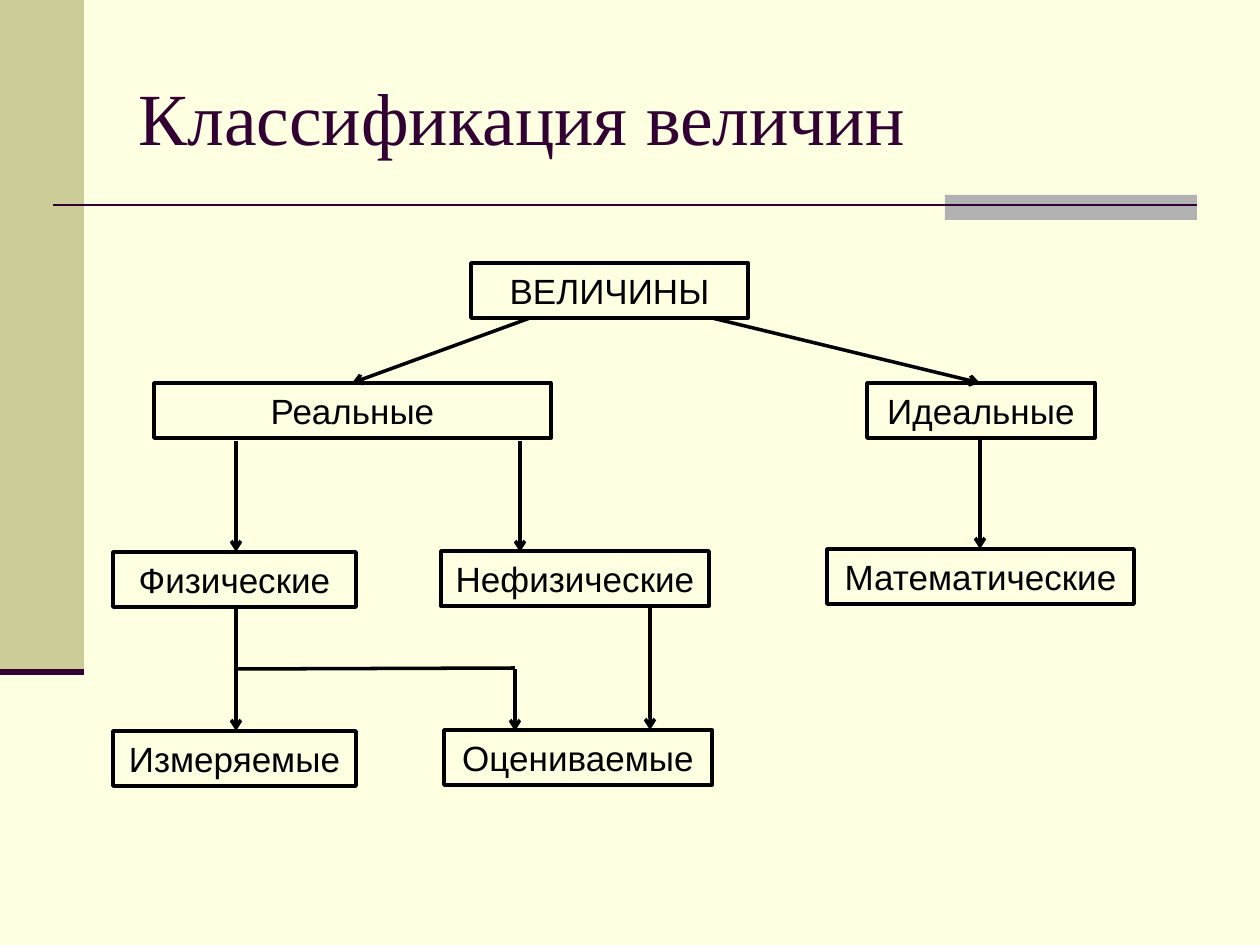
"""Build the slide that classifies quantities as a tree of boxes and arrows."""
import pptx
import pptx.util
import pptx.dml.color
import pptx.enum.shapes
import pptx.enum.text
import pptx.oxml.ns
import lxml.etree

PX = 914400 / 126
BOX_HEIGHT = 55
PLUM, BLACK = "330033", "000000"

TITLE = "Классификация величин"
PANELS = [
    ((0, 0, 84, 672), "CCCC99"),
    ((945, 195, 252, 25), "B2B2B2"),
]
RULES = [
    ((53, 205, 1197, 205), 1.5),
    ((0, 672, 84, 672), 3.5),
]
BOXES = [
    ("ВЕЛИЧИНЫ", 471, 263, 277),
    ("Реальные", 154, 383, 397),
    ("Идеальные", 867, 383, 228),
    ("Физические", 113, 552, 243),
    ("Нефизические", 441, 551, 268),
    ("Математические", 827, 549, 307),
    ("Измеряемые", 113, 731, 243),
    ("Оцениваемые", 444, 730, 268),
]
ARROWS = [
    (530, 318, 352, 383),
    (236, 441, 236, 552),
    (520, 441, 520, 552),
    (236, 607, 236, 731),
    (650, 607, 650, 730),
    (515, 669, 515, 731),
    (712, 318, 980, 383),
    (980, 438, 980, 549),
]
BRANCH = (236, 669, 515, 668)


def emu(*lengths):
    return [pptx.util.Emu(round(n * PX)) for n in lengths]


def rgb(color):
    return pptx.dml.color.RGBColor.from_string(color)


def set_font(p, name, size, color):
    p.font.name = name
    p.font.size = pptx.util.Pt(size)
    p.font.color.rgb = rgb(color)


def add_rect(shapes, place):
    sp = shapes.add_shape(pptx.enum.shapes.MSO_SHAPE.RECTANGLE, *emu(*place))
    sp.shadow.inherit = False
    return sp


def add_panel(shapes, place, color):
    sp = add_rect(shapes, place)
    sp.fill.solid()
    sp.fill.fore_color.rgb = rgb(color)
    sp.line.fill.background()


def add_box(shapes, text, left, top, width):
    sp = add_rect(shapes, (left, top, width, BOX_HEIGHT))
    sp.fill.background()
    sp.line.color.rgb = rgb(BLACK)
    sp.line.width = pptx.util.Pt(2)
    tf = sp.text_frame
    tf.word_wrap = True
    tf.auto_size = pptx.enum.text.MSO_AUTO_SIZE.SHAPE_TO_FIT_TEXT
    tf.vertical_anchor = pptx.enum.text.MSO_ANCHOR.TOP
    p = tf.paragraphs[0]
    p.text = text
    p.alignment = pptx.enum.text.PP_ALIGN.CENTER
    set_font(p, "Arial", 20, BLACK)


def add_line(shapes, ends, color=BLACK, width=2, arrow=False):
    cn = shapes.add_connector(pptx.enum.shapes.MSO_CONNECTOR.STRAIGHT, *emu(*ends))
    cn.line.color.rgb = rgb(color)
    cn.line.width = pptx.util.Pt(width)
    if arrow:
        ln = cn.line.fill._xPr
        lxml.etree.SubElement(ln, pptx.oxml.ns.qn("a:tailEnd"), type="arrow")
    lxml.etree.SubElement(cn._element.spPr, pptx.oxml.ns.qn("a:effectLst"))


def main():
    prs = pptx.Presentation()
    prs.slide_width, prs.slide_height = emu(1260, 945)
    s = prs.slides.add_slide(prs.slide_layouts[5])
    s.background.fill.solid()
    s.background.fill.fore_color.rgb = rgb("FFFFE1")

    for place, color in PANELS:
        add_panel(s.shapes, place, color)
    for ends, width in RULES:
        add_line(s.shapes, ends, PLUM, width)

    title = s.shapes.title
    title.left, title.top, title.width, title.height = emu(126, 38, 1071, 157)
    tf = title.text_frame
    tf.vertical_anchor = pptx.enum.text.MSO_ANCHOR.MIDDLE
    p = tf.paragraphs[0]
    p.text = TITLE
    p.alignment = pptx.enum.text.PP_ALIGN.LEFT
    set_font(p, "Times New Roman", 42, PLUM)

    for box in BOXES:
        add_box(s.shapes, *box)
    for ends in ARROWS:
        add_line(s.shapes, ends, arrow=True)
    add_line(s.shapes, BRANCH)
    prs.save("out.pptx")


if __name__ == "__main__":
    main()
